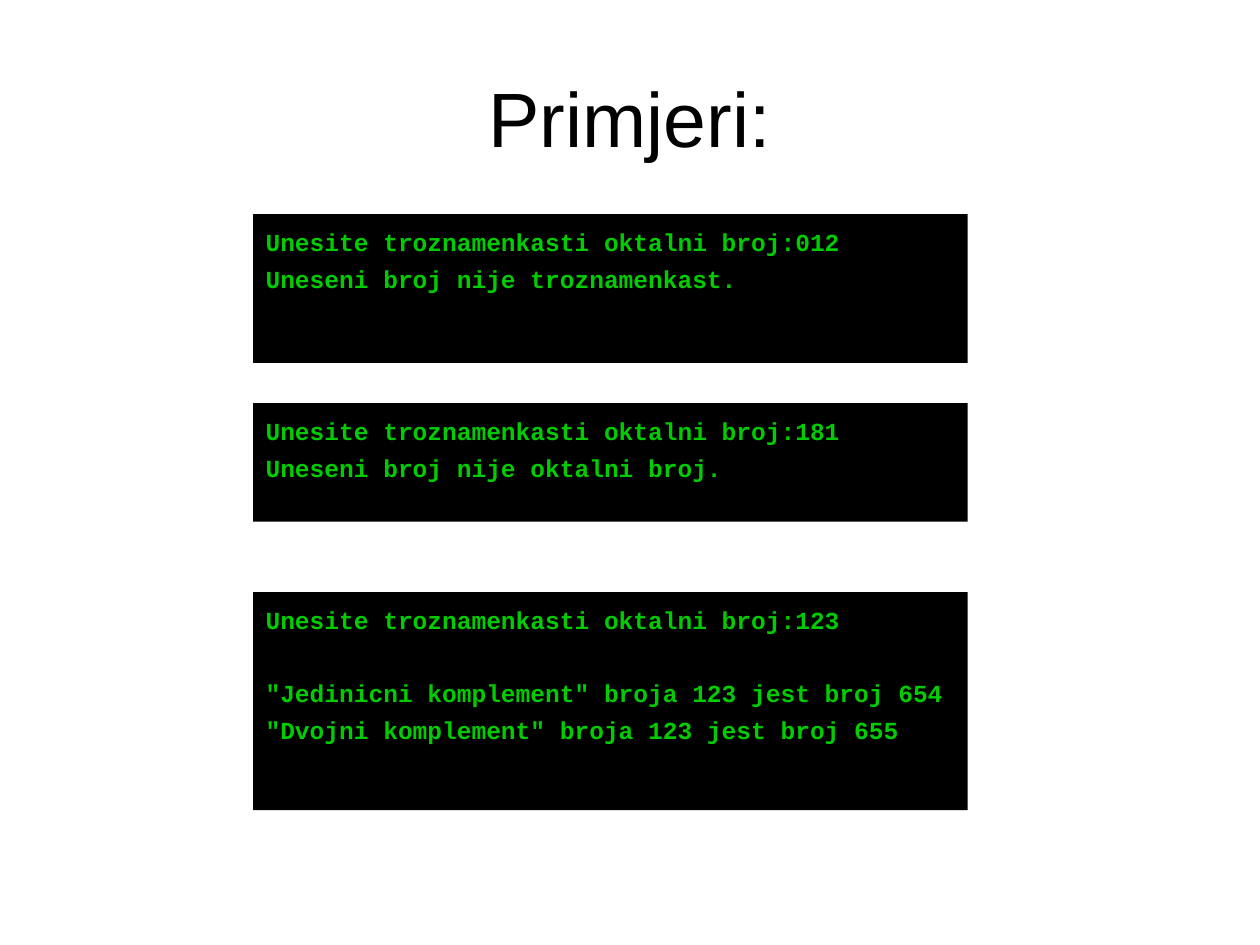
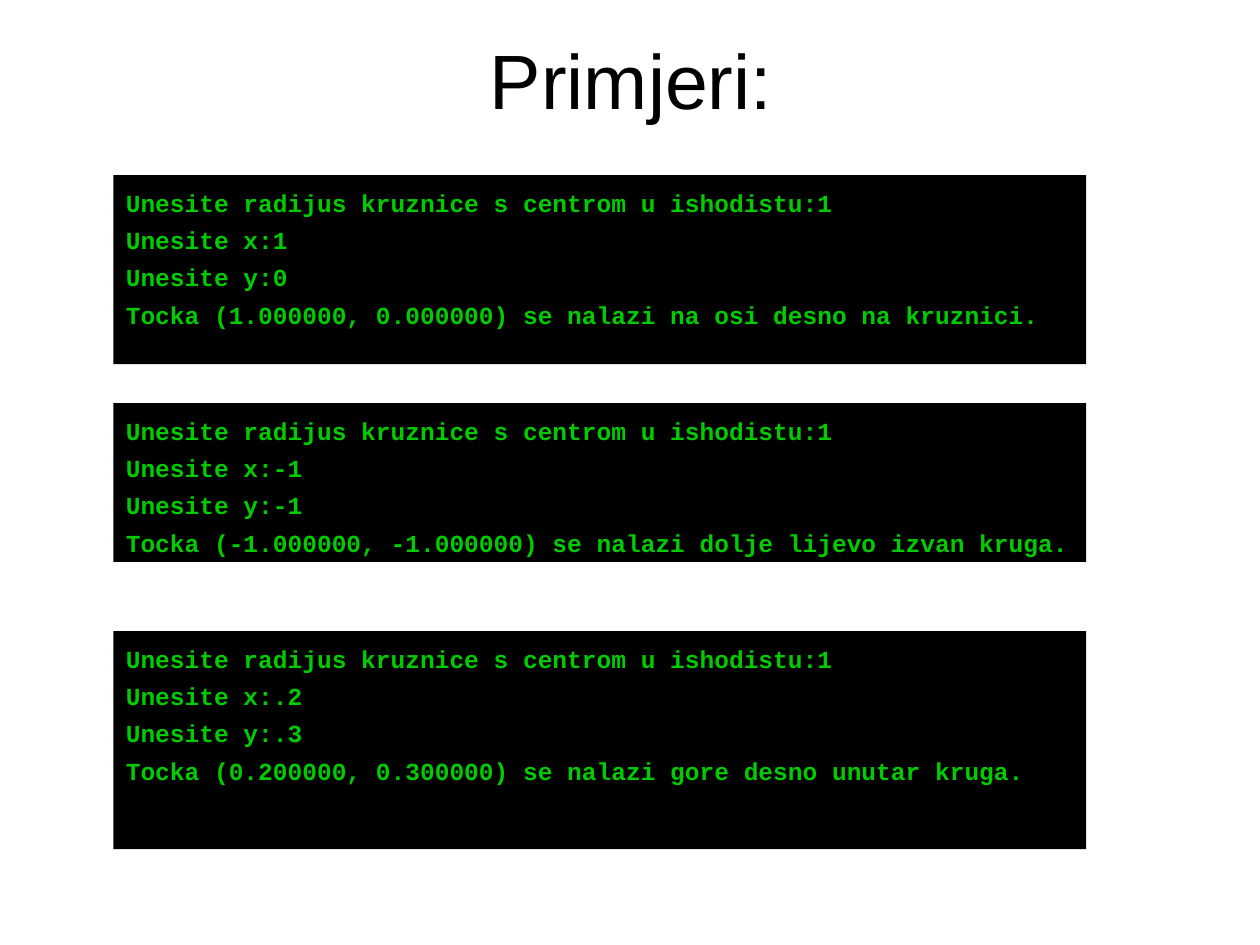
from pptx import Presentation
from pptx.dml.color import RGBColor
from pptx.enum.shapes import MSO_SHAPE
from pptx.enum.text import MSO_ANCHOR, PP_ALIGN
from pptx.util import Emu, Pt

RECTANGLE = MSO_SHAPE.RECTANGLE
TOP, MIDDLE = MSO_ANCHOR.TOP, MSO_ANCHOR.MIDDLE
LEFT, CENTER = PP_ALIGN.LEFT, PP_ALIGN.CENTER

EMU_PER_PX = 9144  # 100 px to the inch
BLANK_LAYOUT = 6
BLACK, GREEN = "000000", "00CC00"
TITLE_FONT, CONSOLE_FONT = "Arial", "Courier New"
LINE_GAP = 4.5
EMPTY_LINE_GAP = 25

OCTAL_PROMPT = "Unesite troznamenkasti oktalni broj:"
RADIUS_PROMPT = "Unesite radijus kruznice s centrom u ishodistu:1"


def px(n):
    return Emu(n * EMU_PER_PX)


def rgb(hex_color):
    return RGBColor.from_string(hex_color)


def set_font(p, name, size, color, bold=False):
    p.font.name = name
    p.font.size = Pt(size)
    p.font.bold = bold
    p.font.color.rgb = rgb(color)


def add_title(slide, left, top):
    sp = slide.shapes.add_textbox(px(left), px(top), px(900), px(125))
    tf = sp.text_frame
    tf.word_wrap = True
    tf.vertical_anchor = MIDDLE
    p = tf.paragraphs[0]
    p.text = "Primjeri:"
    p.alignment = CENTER
    set_font(p, TITLE_FONT, 44, BLACK)


def add_console(slide, left, top, width, height, lines):
    """Black terminal window; an empty line becomes space before the next one."""
    sp = slide.shapes.add_shape(RECTANGLE, px(left), px(top), px(width), px(height))
    sp.shadow.inherit = False
    sp.fill.solid()
    sp.fill.fore_color.rgb = rgb(BLACK)
    sp.line.fill.background()
    tf = sp.text_frame
    tf.word_wrap = True
    tf.vertical_anchor = TOP
    tf.margin_top = px(10)
    gap = 0
    for i, line in enumerate(lines):
        if not line:
            gap = EMPTY_LINE_GAP
            continue
        p = tf.add_paragraph() if i else tf.paragraphs[0]
        p.text = line
        p.alignment = LEFT
        p.space_before = Pt(gap)
        set_font(p, CONSOLE_FONT, 14, GREEN, bold=True)
        gap = LINE_GAP


def add_example_slide(prs, title_at, left, width, consoles):
    slide = prs.slides.add_slide(prs.slide_layouts[BLANK_LAYOUT])
    add_title(slide, *title_at)
    for top, height, lines in consoles:
        add_console(slide, left, top, width, height, lines)


def circle_run(x, y, result):
    return [RADIUS_PROMPT, f"Unesite x:{x}", f"Unesite y:{y}",
            f"Tocka ({float(x):.6f}, {float(y):.6f}) se nalazi {result}."]


def main():
    prs = Presentation()
    prs.slide_width, prs.slide_height = px(1000), px(750)

    add_example_slide(prs, (50, 30), 201, 567, [
        (170, 118, [OCTAL_PROMPT + "012", "Uneseni broj nije troznamenkast."]),
        (320, 94, [OCTAL_PROMPT + "181", "Uneseni broj nije oktalni broj."]),
        (470, 173, [OCTAL_PROMPT + "123", "",
                    '"Jedinicni komplement" broja 123 jest broj 654',
                    '"Dvojni komplement" broja 123 jest broj 655']),
    ])
    add_example_slide(prs, (51, 0), 90, 772, [
        (139, 150, circle_run("1", "0", "na osi desno na kruznici")),
        (320, 126, circle_run("-1", "-1", "dolje lijevo izvan kruga")),
        (501, 173, circle_run(".2", ".3", "gore desno unutar kruga")),
    ])
    prs.save("out.pptx")


if __name__ == "__main__":
    main()
